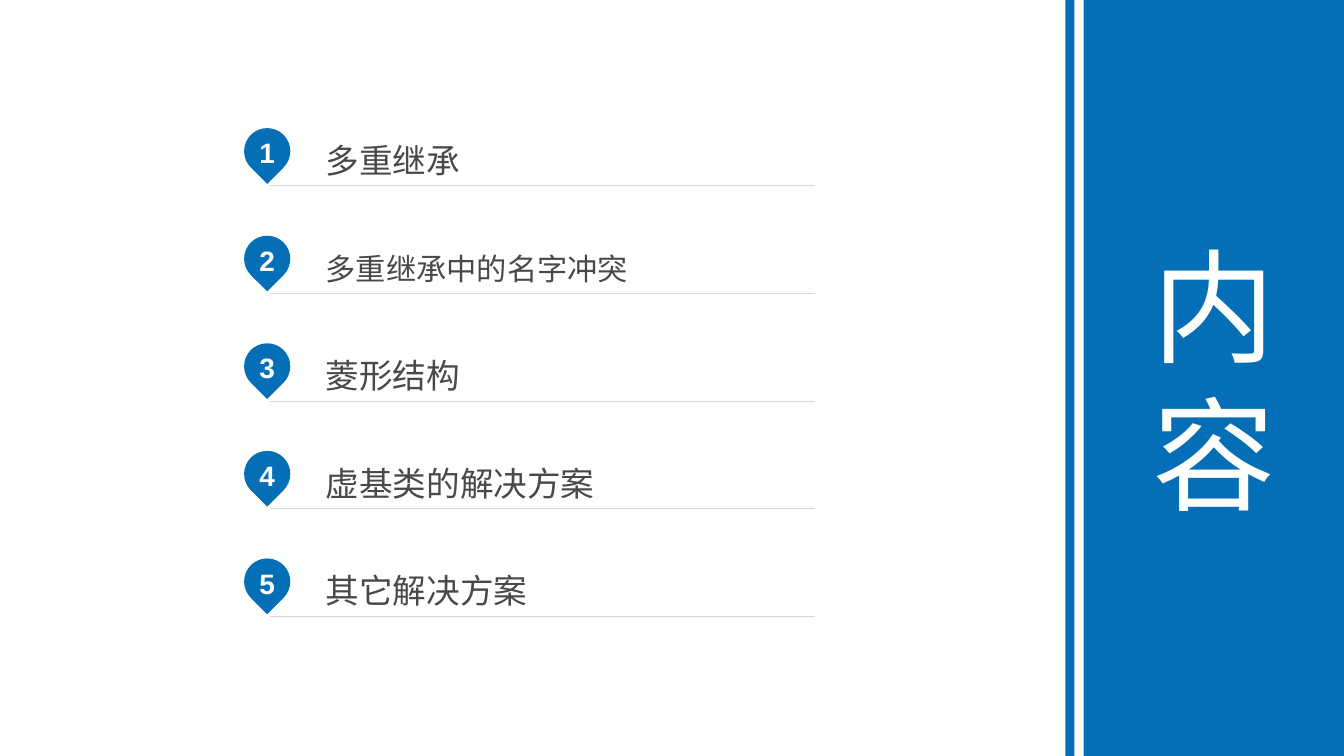
from math import cos, radians, sin, sqrt, tan

from lxml import etree
from pptx import Presentation
from pptx.dml.color import RGBColor
from pptx.enum.shapes import MSO_SHAPE
from pptx.enum.text import MSO_ANCHOR, PP_ALIGN
from pptx.oxml.ns import qn
from pptx.util import Pt

RECTANGLE = MSO_SHAPE.RECTANGLE
MIDDLE = MSO_ANCHOR.MIDDLE
LEFT, CENTER = PP_ALIGN.LEFT, PP_ALIGN.CENTER

# Content: topic, text size, line spacing
TITLE = "内容"
TOPICS = [
    ("多重继承", 24, 1.2),
    ("多重继承中的名字冲突", 21.6, 1.3),
    ("菱形结构", 24, 1.2),
    ("虚基类的解决方案", 24, 1.2),
    ("其它解决方案", 24, 1.2),
]

COLORS = {"blue": "046FB6", "white": "FFFFFF", "text": "47494B", "rule": "D7D7D7"}
FONT = "Arial"

# Layout in points
SLIDE_WIDTH, SLIDE_HEIGHT = 960, 540
PANEL_LEFT = 774
STRIPE_LEFT, STRIPE_WIDTH = 761, 6.5
FIRST_TOP, PITCH = 91.5, 76.85
PIN_CENTER, PIN_RADIUS = 190.9, 16.5
PIN_ANGLES = [135, 180, 270, 360, 405]
ROW_LEFT, ROW_WIDTH, ROW_HEIGHT = 193, 389, 39.6
ROW_OFFSET = 1.4


def color(name):
    return RGBColor.from_string(COLORS[name])


def fill_plain(shape, name):
    shape.shadow.inherit = False
    shape.fill.solid()
    shape.fill.fore_color.rgb = color(name)
    shape.line.fill.background()


def write(shape, text, size, color_name, bold=False, align=CENTER,
          spacing=None, margins=(7.2, 3.6, 7.2, 3.6)):
    left, top, right, bottom = map(Pt, margins)
    frame = shape.text_frame
    frame_format = {
        "word_wrap": True, "vertical_anchor": MIDDLE, "margin_left": left,
        "margin_top": top, "margin_right": right, "margin_bottom": bottom,
    }
    paragraph = frame.paragraphs[0]
    run = paragraph.add_run()
    run.text = text
    run.font.color.rgb = color(color_name)
    formats = [
        (frame, frame_format),
        (paragraph, {"alignment": align, "line_spacing": spacing}),
        (run.font, {"name": FONT, "size": Pt(size), "bold": bold}),
    ]
    for target, values in formats:
        for attribute, value in values.items():
            setattr(target, attribute, value)


def pin_outline(center_y):
    """Give the arc's start, then two handles and an end for each curve."""
    def point(angle, handle=0):
        turn = radians(angle)
        return (Pt(PIN_CENTER + PIN_RADIUS * (cos(turn) - handle * sin(turn))),
                Pt(center_y + PIN_RADIUS * (sin(turn) + handle * cos(turn))))

    points = [point(PIN_ANGLES[0])]
    for start, end in zip(PIN_ANGLES, PIN_ANGLES[1:]):
        handle = 4 / 3 * tan(radians(end - start) / 4)
        points += [point(start, handle), point(end, -handle), point(end)]
    return points


def curve_lines(shape):
    """Turn each three lines after the first one into one curve."""
    lines = list(shape._element.iter(qn("a:lnTo")))[1:]
    for first in range(0, len(lines), 3):
        curve = etree.Element(qn("a:cubicBezTo"))
        lines[first].addprevious(curve)
        for line in lines[first:first + 3]:
            curve.append(line[0])
            line.getparent().remove(line)


def add_pin(slide, number, top):
    center_y = top + PIN_RADIUS
    builder = slide.shapes.build_freeform(
        Pt(PIN_CENTER), Pt(center_y + PIN_RADIUS * sqrt(2)))
    builder.add_line_segments(pin_outline(center_y), close=True)
    pin = builder.convert_to_shape()
    curve_lines(pin)
    fill_plain(pin, "blue")
    write(pin, str(number), 20, "white", bold=True, margins=(7.2, 3.6, 7.2, 8.6))


def add_topic(slide, topic, size, spacing, top):
    """Draw an underline whose outline also spans the text above it."""
    left, right = Pt(ROW_LEFT), Pt(ROW_LEFT + ROW_WIDTH)
    upper, lower = Pt(top), Pt(top + ROW_HEIGHT)
    builder = slide.shapes.build_freeform(left, lower)
    builder.add_line_segments([(right, lower), (left, lower)], close=True)
    builder.move_to(left, upper)
    builder.add_line_segments([(left, upper), (left, upper)], close=True)
    row = builder.convert_to_shape()
    row.shadow.inherit = False
    row.fill.background()
    row.line.color.rgb = color("rule")
    row.line.width = Pt(0.25)
    write(row, topic, size, "text", align=LEFT, spacing=spacing,
          margins=(39.6, 0, 0, 2.9))


def add_band(slide, left, width):
    band = slide.shapes.add_shape(
        RECTANGLE, Pt(left), Pt(0), Pt(width), Pt(SLIDE_HEIGHT))
    fill_plain(band, "blue")
    return band


def main():
    presentation = Presentation()
    presentation.slide_width = Pt(SLIDE_WIDTH)
    presentation.slide_height = Pt(SLIDE_HEIGHT)
    slide = presentation.slides.add_slide(presentation.slide_layouts[6])

    # Numbered topics
    for index, (topic, size, spacing) in enumerate(TOPICS):
        top = FIRST_TOP + index * PITCH
        add_pin(slide, index + 1, top)
        add_topic(slide, topic, size, spacing, top + ROW_OFFSET)

    # Title panel and its stripe
    panel = add_band(slide, PANEL_LEFT, SLIDE_WIDTH - PANEL_LEFT)
    write(panel, TITLE, 88, "white")
    add_band(slide, STRIPE_LEFT, STRIPE_WIDTH)

    presentation.save("out.pptx")


if __name__ == "__main__":
    main()
